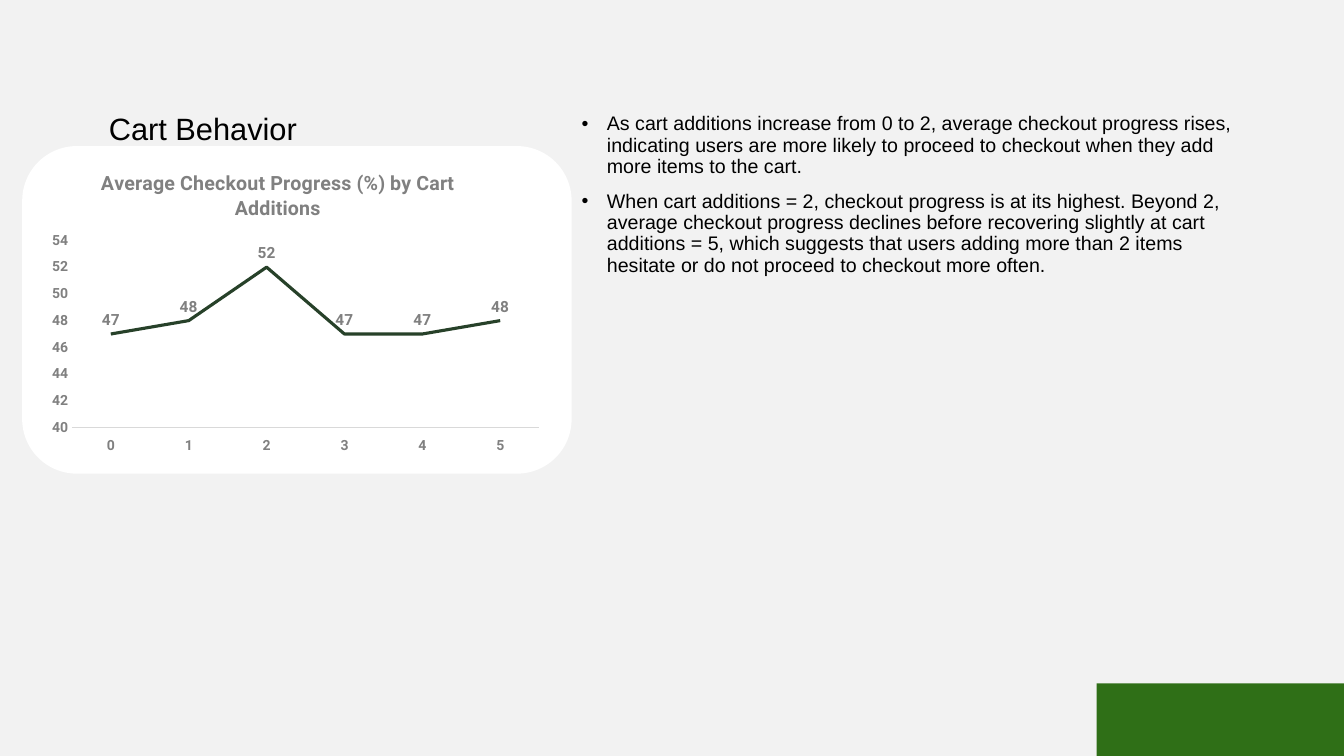
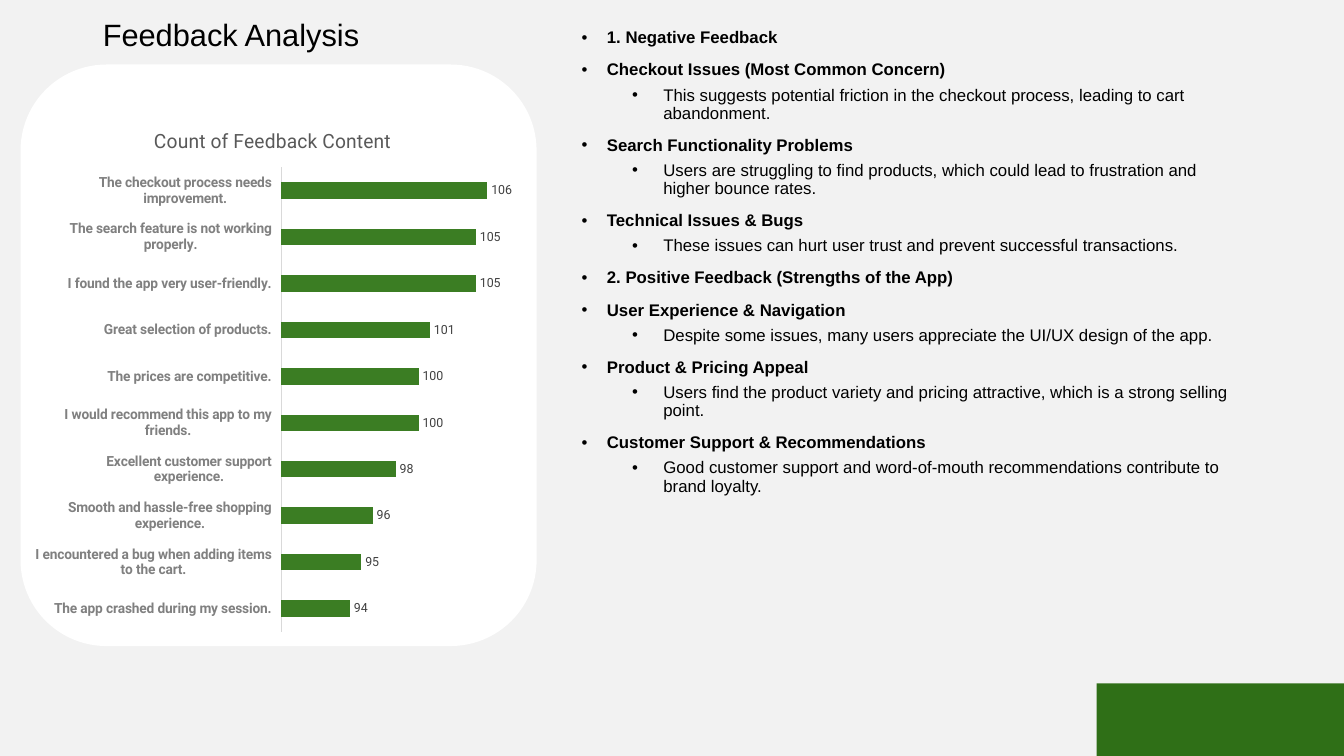
from dataclasses import dataclass

from lxml import etree
from pptx import Presentation
from pptx.chart.data import CategoryChartData
from pptx.dml.color import RGBColor
from pptx.enum.chart import (
    XL_CHART_TYPE, XL_LABEL_POSITION, XL_MARKER_STYLE, XL_TICK_LABEL_POSITION, XL_TICK_MARK,
)
from pptx.enum.shapes import MSO_SHAPE
from pptx.enum.text import MSO_ANCHOR, MSO_AUTO_SIZE, PP_ALIGN
from pptx.oxml.ns import qn
from pptx.util import Inches, Pt

LINE_CHART = XL_CHART_TYPE.LINE
BAR_CHART = XL_CHART_TYPE.BAR_CLUSTERED
LABEL_ABOVE = XL_LABEL_POSITION.ABOVE
LABEL_OUTSIDE = XL_LABEL_POSITION.OUTSIDE_END
LABELS_LOW = XL_TICK_LABEL_POSITION.LOW
NO_MARKER = XL_MARKER_STYLE.NONE
NO_TICK = XL_TICK_MARK.NONE
RECTANGLE = MSO_SHAPE.RECTANGLE
ROUNDED = MSO_SHAPE.ROUNDED_RECTANGLE
TOP = MSO_ANCHOR.TOP
FIXED_SIZE = MSO_AUTO_SIZE.NONE
LEFT = PP_ALIGN.LEFT

SLIDE_WIDTH = Inches(13.33)
SLIDE_HEIGHT = Inches(7.5)
BACKGROUND = "F2F2F2"
WHITE = "FFFFFF"
BLACK = "000000"
GRAY = "808080"
AXIS_GRAY = "D9D9D9"
CORNER_GREEN = "2F6F17"
TEXT_FONT = "Arial"
CHART_FONT = "Roboto"
TITLE_SIZE = 22
INDENTS = ((0.25, -0.25, 10), (0.81, -0.31, 5))


@dataclass(frozen=True)
class Area:
    left: float
    top: float
    width: float
    height: float

    def place(self) -> tuple[int, int, int, int]:
        return (
            round(SLIDE_WIDTH * self.left / 100),
            round(SLIDE_HEIGHT * self.top / 100),
            round(SLIDE_WIDTH * self.width / 100),
            round(SLIDE_HEIGHT * self.height / 100),
        )


@dataclass(frozen=True)
class Bullet:
    text: str
    level: int = 0
    bold: bool = False


@dataclass(frozen=True)
class ChartStyle:
    kind: int
    title: str
    title_color: str
    title_bold: bool
    title_at: tuple[float, float]
    plot: tuple[float, float, float, float]
    points: tuple[tuple[str, int], ...]
    color: str
    axis_range: tuple[int, int]
    label_position: int
    label_size: int
    label_color: str
    label_bold: bool


@dataclass(frozen=True)
class Page:
    title: str
    title_area: Area
    body_area: Area
    body_size: int
    bullets: tuple[Bullet, ...]
    card_area: Area
    chart_area: Area
    chart: ChartStyle


CORNER_AREA = Area(81.6, 90.4, 18.4, 9.6)

CART_CHART = ChartStyle(
    LINE_CHART, "Average Checkout Progress (%) by Cart Additions", GRAY, True,
    (0.11, 0.03), (0.06, 0.28, 0.92, 0.63),
    (("0", 47), ("1", 48), ("2", 52), ("3", 47), ("4", 47), ("5", 48)),
    "274129", (40, 54), LABEL_ABOVE, 11, GRAY, True,
)
FEEDBACK_CHART = ChartStyle(
    BAR_CHART, "Count of Feedback Content", "595959", False,
    (0.23, 0.03), (0.51, 0.11, 0.49, 0.86),
    (
        ("The app crashed during my session.", 94),
        ("I encountered a bug when adding items to the cart.", 95),
        ("Smooth and hassle-free shopping experience.", 96),
        ("Excellent customer support experience.", 98),
        ("I would recommend this app to my friends.", 100),
        ("The prices are competitive.", 100),
        ("Great selection of products.", 101),
        ("I found the app very user-friendly.", 105),
        ("The search feature is not working properly.", 105),
        ("The checkout process needs improvement.", 106),
    ),
    "3B7D23", (88, 108), LABEL_OUTSIDE, 9, "404040", False,
)

PAGES = (
    Page(
        "Cart Behavior", Area(7.35, 14.4, 32.25, 6.53), Area(42.53, 14.4, 50.63, 71.07), 14,
        (
            Bullet("As cart additions increase from 0 to 2, average checkout progress rises, "
                   "indicating users are more likely to proceed to checkout when they add "
                   "more items to the cart."),
            Bullet("When cart additions = 2, checkout progress is at its highest. Beyond 2, "
                   "average checkout progress declines before recovering slightly at cart "
                   "additions = 5, which suggests that users adding more than 2 items "
                   "hesitate or do not proceed to checkout more often."),
        ),
        Area(1.65, 19.33, 40.88, 43.33), Area(3.08, 20.8, 37.8, 39.33), CART_CHART,
    ),
    Page(
        "Feedback Analysis", Area(6.9, 2, 32.25, 6.53), Area(42.53, 3.2, 50.63, 64), 12,
        (
            Bullet("1. Negative Feedback", bold=True),
            Bullet("Checkout Issues (Most Common Concern)", bold=True),
            Bullet("This suggests potential friction in the checkout process, "
                   "leading to cart abandonment.", 1),
            Bullet("Search Functionality Problems", bold=True),
            Bullet("Users are struggling to find products, which could lead to "
                   "frustration and higher bounce rates.", 1),
            Bullet("Technical Issues & Bugs", bold=True),
            Bullet("These issues can hurt user trust and prevent successful transactions.", 1),
            Bullet("2. Positive Feedback (Strengths of the App)", bold=True),
            Bullet("User Experience & Navigation", bold=True),
            Bullet("Despite some issues, many users appreciate the UI/UX design of the app.", 1),
            Bullet("Product & Pricing Appeal", bold=True),
            Bullet("Users find the product variety and pricing attractive, "
                   "which is a strong selling point.", 1),
            Bullet("Customer Support & Recommendations", bold=True),
            Bullet("Good customer support and word-of-mouth recommendations "
                   "contribute to brand loyalty.", 1),
        ),
        Area(1.53, 8.53, 38.4, 76.93), Area(2.63, 14.27, 35.48, 71.47), FEEDBACK_CHART,
    ),
)


def paint(color_format, color: str) -> None:
    color_format.rgb = RGBColor.from_string(color)


def style_font(font, name: str, size: float, color: str, bold: bool = False) -> None:
    font.name = name
    font.size = Pt(size)
    font.bold = bold
    font.fill.solid()
    paint(font.fill.fore_color, color)


def add_span(para, text: str, name: str, size: float, color: str, bold: bool = False) -> None:
    span = para.add_run()
    span.text = text
    style_font(span.font, name, size, color, bold)


def move_placeholder(box, area: Area):
    box.left, box.top, box.width, box.height = area.place()
    frame = box.text_frame
    frame.auto_size = FIXED_SIZE
    frame.word_wrap = True
    frame.vertical_anchor = TOP
    return frame


def add_title(page, text: str, area: Area) -> None:
    para = move_placeholder(page.shapes.title, area).paragraphs[0]
    para.alignment = LEFT
    para.line_spacing = 0.9
    add_span(para, text, TEXT_FONT, TITLE_SIZE, BLACK)


def add_bullets(page, bullets: tuple[Bullet, ...], area: Area, size: int) -> None:
    frame = move_placeholder(page.placeholders[1], area)
    for index, bullet in enumerate(bullets):
        para = frame.add_paragraph() if index else frame.paragraphs[0]
        margin, indent, space = INDENTS[bullet.level]
        para.level = bullet.level
        para.line_spacing = 0.9
        para.space_before = Pt(space)
        settings = para._p.get_or_add_pPr()
        settings.set("marL", str(Inches(margin)))
        settings.set("indent", str(Inches(indent)))
        etree.SubElement(settings, qn("a:buChar")).set("char", "•")
        add_span(para, bullet.text, TEXT_FONT, size, BLACK, bullet.bold)


def add_panel(page, preset: int, area: Area, color: str) -> None:
    panel = page.shapes.add_shape(preset, *area.place())
    panel.shadow.inherit = False
    panel.line.fill.background()
    panel.fill.solid()
    paint(panel.fill.fore_color, color)


def set_layout(parent, values: dict[str, str | float]) -> None:
    for old in parent.findall(qn("c:layout")):
        parent.remove(old)
    layout = etree.Element(qn("c:layout"))
    manual = etree.SubElement(layout, qn("c:manualLayout"))
    for name, value in values.items():
        etree.SubElement(manual, qn("c:" + name)).set("val", str(value))
    text = parent.find(qn("c:tx"))
    if text is None:
        parent.insert(0, layout)
    else:
        text.addnext(layout)


def style_axes(chart, style: ChartStyle) -> None:
    for axis in (chart.category_axis, chart.value_axis):
        axis.has_major_gridlines = False
        axis.major_tick_mark = axis.minor_tick_mark = NO_TICK
        style_font(axis.tick_labels.font, CHART_FONT, 10, GRAY, True)
    categories = chart.category_axis
    categories.format.line.width = Pt(0.75)
    paint(categories.format.line.color, AXIS_GRAY)
    categories.tick_label_position = LABELS_LOW
    categories.tick_labels.offset = 0
    values = chart.value_axis
    values.minimum_scale, values.maximum_scale = style.axis_range
    values.major_unit = 2
    values.format.line.fill.background()
    values.tick_labels.number_format = "0"
    values.tick_labels.number_format_is_linked = False
    values.visible = style.kind == LINE_CHART


def style_series(plot, style: ChartStyle) -> None:
    plot.vary_by_categories = False
    series = plot.series[0]
    if style.kind == LINE_CHART:
        series.smooth = False
        series.marker.style = NO_MARKER
        series.format.line.width = Pt(2.25)
        paint(series.format.line.color, style.color)
    else:
        plot.gap_width = 182
        series.format.fill.solid()
        paint(series.format.fill.fore_color, style.color)
    labels = series.data_labels
    labels.show_value = True
    labels.position = style.label_position
    labels.number_format = "0"
    labels.number_format_is_linked = False
    style_font(labels.font, CHART_FONT, style.label_size, style.label_color, style.label_bold)


def add_chart(page, style: ChartStyle, area: Area) -> None:
    data = CategoryChartData(number_format="0")
    data.categories = [name for name, _ in style.points]
    data.add_series("Series 1", [value for _, value in style.points])
    chart = page.shapes.add_chart(style.kind, *area.place(), data).chart
    style_font(chart.font, CHART_FONT, 10, BLACK)
    chart.has_legend = False
    para = chart.chart_title.text_frame.paragraphs[0]
    add_span(para, style.title, CHART_FONT, 14, style.title_color, style.title_bold)
    style_axes(chart, style)
    style_series(chart.plots[0], style)
    edges = {"xMode": "edge", "yMode": "edge"}
    set_layout(chart.chart_title._element, edges | dict(zip("xy", style.title_at)))
    plot_area = chart._chartSpace.find(".//" + qn("c:plotArea"))
    set_layout(plot_area, {"layoutTarget": "inner"} | edges | dict(zip("xywh", style.plot)))


def build_page(deck, content: Page) -> None:
    page = deck.slides.add_slide(deck.slide_layouts[1])
    page.background.fill.solid()
    paint(page.background.fill.fore_color, BACKGROUND)
    add_title(page, content.title, content.title_area)
    add_bullets(page, content.bullets, content.body_area, content.body_size)
    add_panel(page, RECTANGLE, CORNER_AREA, CORNER_GREEN)
    add_panel(page, ROUNDED, content.card_area, WHITE)
    add_chart(page, content.chart, content.chart_area)


def main() -> None:
    deck = Presentation()
    deck.slide_width, deck.slide_height = SLIDE_WIDTH, SLIDE_HEIGHT
    for content in PAGES:
        build_page(deck, content)
    deck.save("out.pptx")


if __name__ == "__main__":
    main()
